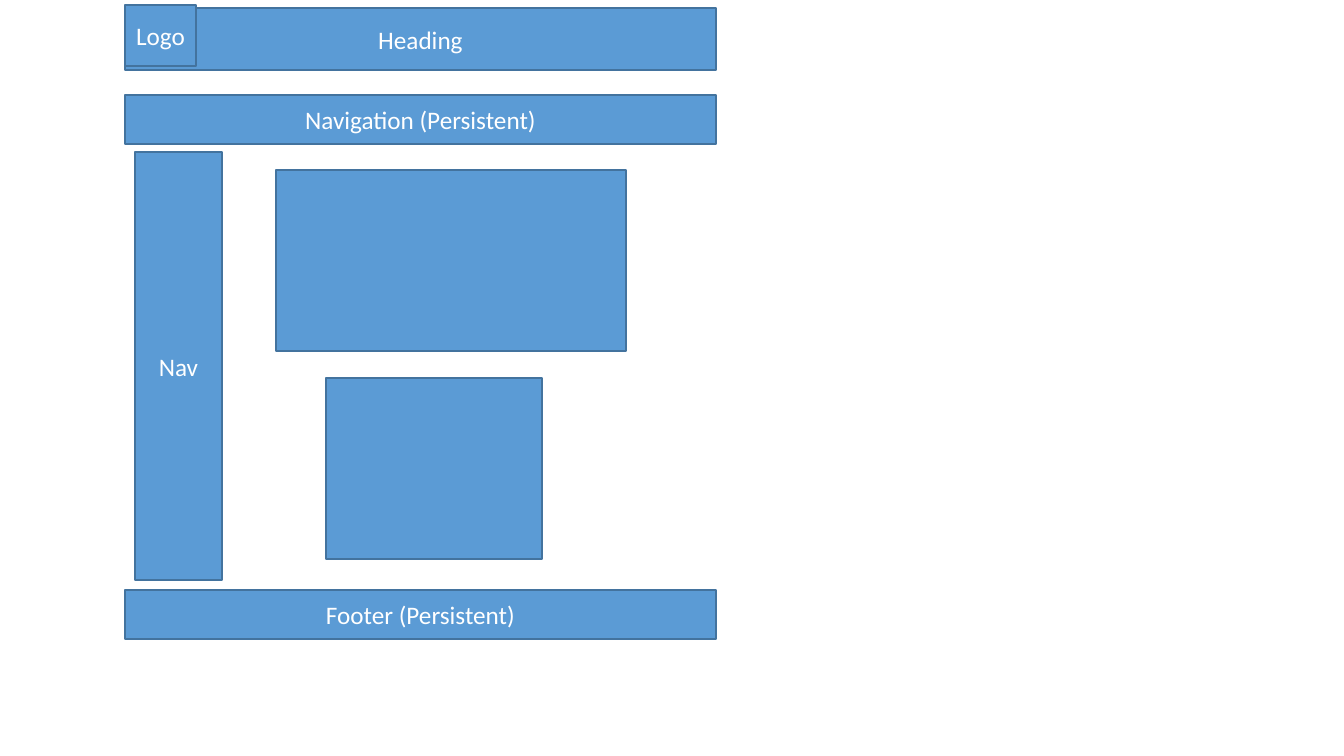
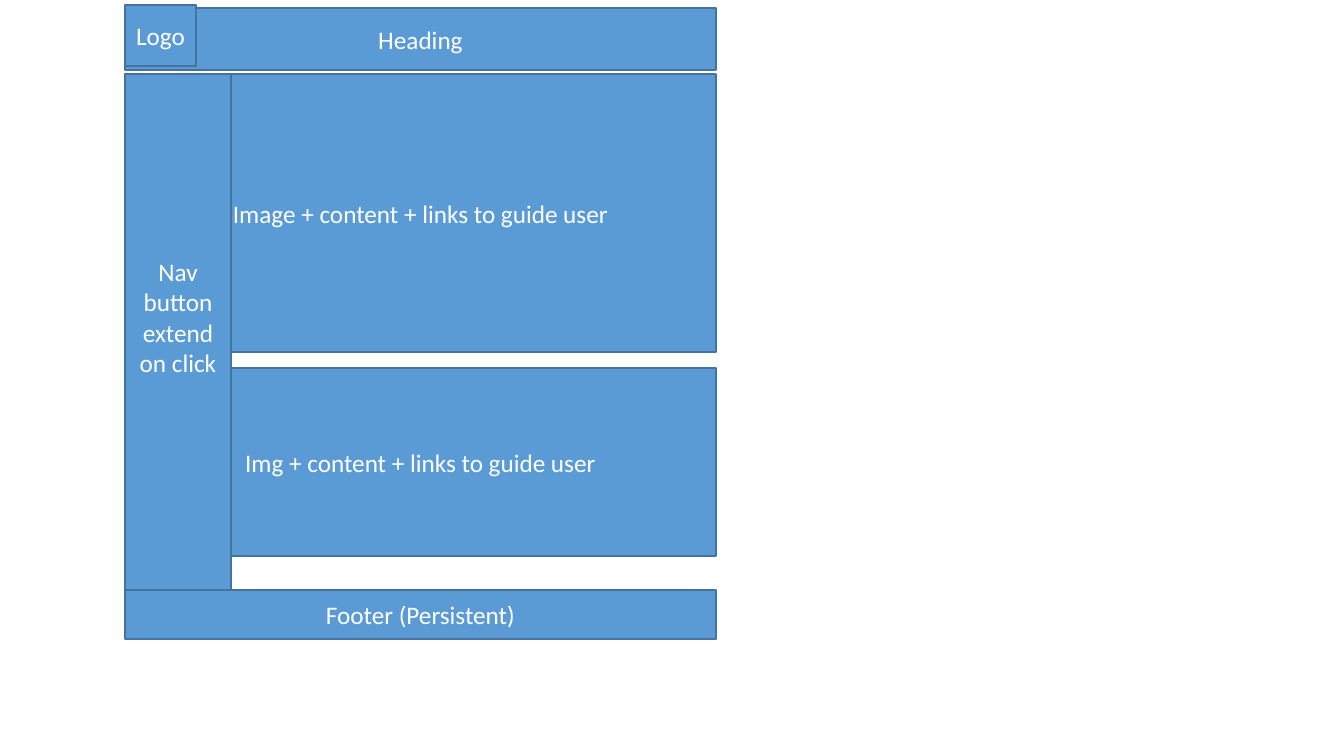
import pptx
import pptx.util
import pptx.dml.color
import pptx.enum.shapes
import pptx.enum.text

PIXELS_PER_INCH = 100.8
BLOCK_FILL = pptx.dml.color.RGBColor(0x5B, 0x9B, 0xD5)
BLOCK_LINE = pptx.dml.color.RGBColor(0x43, 0x73, 0x9E)
LABEL_COLOR = pptx.dml.color.RGBColor(0xFF, 0xFF, 0xFF)
LABEL_FONT = "Calibri"
LABEL_SIZE = 18

# Page column shared by both wireframes
PAGE_LEFT, PAGE_WIDTH = 125, 591
HEADING_TOP, HEADING_HEIGHT = 8, 62
FOOTER_TOP, BAR_HEIGHT = 590, 49
BODY_TOP = 74
LABEL_LIFT = 15

# Blocks: label, left, top, width, height, upward shift of the label
page_frame = [
    ("Footer (Persistent)", PAGE_LEFT, FOOTER_TOP, PAGE_WIDTH, BAR_HEIGHT, 0),
    ("Heading", PAGE_LEFT, HEADING_TOP, PAGE_WIDTH, HEADING_HEIGHT, 0),
    ("Logo", PAGE_LEFT, 5, 71, 61, 0),
]
wireframes = [
    [
        ("", 276, 170, 350, 181, 0),
        ("", 326, 378, 216, 181, 0),
        ("Nav", 135, 152, 87, 428, 0),
        ("Navigation (Persistent)", PAGE_LEFT, 95, PAGE_WIDTH, BAR_HEIGHT, 0),
    ],
    [
        ("Image + content + links to guide user",
         PAGE_LEFT, BODY_TOP, PAGE_WIDTH, 278, 0),
        ("Img + content + links to guide user",
         PAGE_LEFT, 368, PAGE_WIDTH, 188, 0),
        ("Nav button extend on click",
         PAGE_LEFT, BODY_TOP, 106, FOOTER_TOP - BODY_TOP, LABEL_LIFT),
    ],
]


def px(pixels):
    return pptx.util.Inches(pixels / PIXELS_PER_INCH)


def add_block(slide, label, left, top, width, height, lift):
    block = slide.shapes.add_shape(
        pptx.enum.shapes.MSO_SHAPE.RECTANGLE,
        px(left), px(top), px(width), px(height))
    block.shadow.inherit = False
    block.fill.solid()
    block.fill.fore_color.rgb = BLOCK_FILL
    block.line.color.rgb = BLOCK_LINE
    block.line.width = pptx.util.Pt(1)
    if not label:
        return

    # Centred label
    frame = block.text_frame
    frame.word_wrap = True
    frame.vertical_anchor = pptx.enum.text.MSO_ANCHOR.MIDDLE
    frame.margin_bottom += px(2 * lift)
    frame.text = label
    paragraph = frame.paragraphs[0]
    paragraph.alignment = pptx.enum.text.PP_ALIGN.CENTER
    font = paragraph.runs[0].font
    font.name = LABEL_FONT
    font.size = pptx.util.Pt(LABEL_SIZE)
    font.color.rgb = LABEL_COLOR


deck = pptx.Presentation()
deck.slide_width = px(1344)
deck.slide_height = px(756)
blank_layout = deck.slide_layouts[6]

# Each wireframe sits behind the shared page frame
for body in wireframes:
    slide = deck.slides.add_slide(blank_layout)
    for block in body + page_frame:
        add_block(slide, *block)

deck.save("out.pptx")
